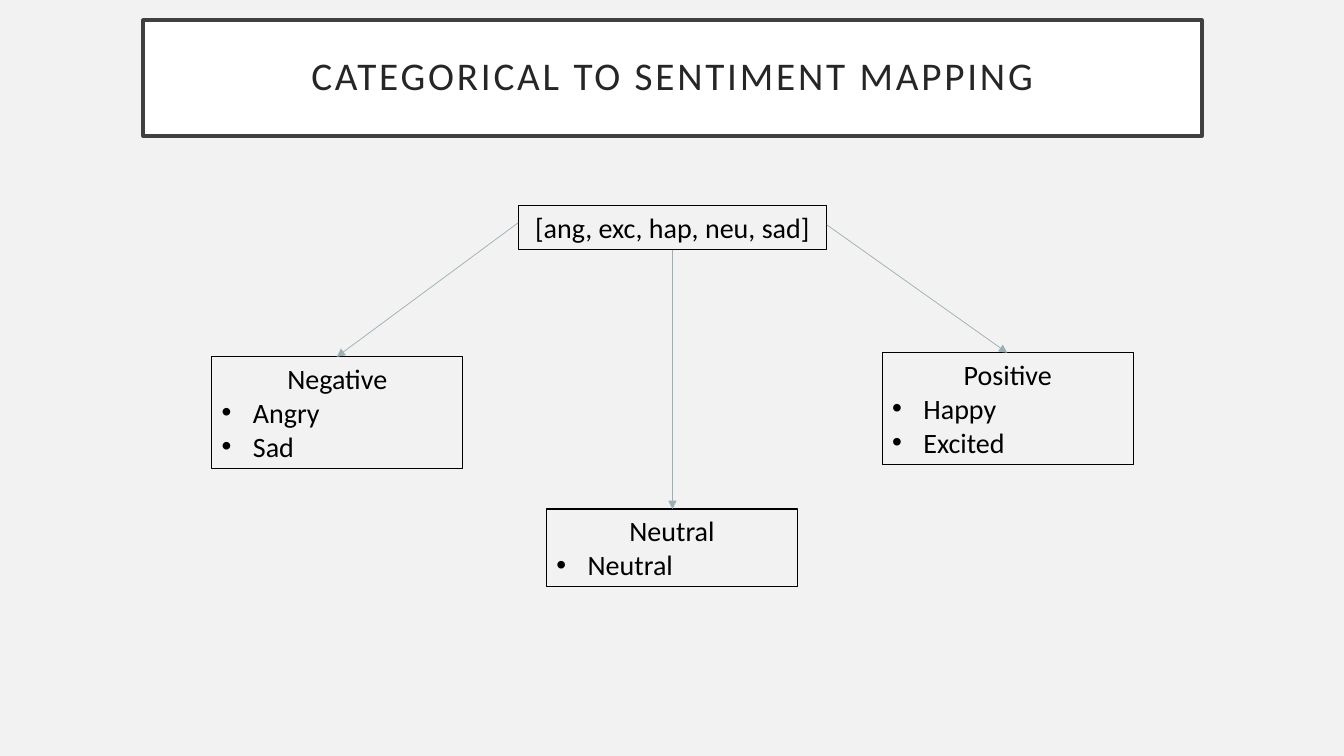
from pptx import Presentation
from pptx.dml.color import RGBColor
from pptx.enum.shapes import MSO_CONNECTOR
from pptx.enum.text import MSO_ANCHOR, MSO_AUTO_SIZE, PP_ALIGN
from pptx.oxml.xmlchemy import OxmlElement
from pptx.util import Inches, Pt

COLORS = {
    "background": "F2F2F2",
    "banner": "FFFFFF",
    "banner_line": "404040",
    "title": "262626",
    "text": "000000",
    "arrow": "9BAFB5",
}
FONT = "Calibri"
GROUP_WIDTH = 2.49
BULLET_INDENT = 0.31

# Sentiment, its categories, and the left, top and height of its box
SENTIMENTS = [
    ("Negative", ["Angry", "Sad"], 2.1, 3.54, 1.11),
    ("Positive", ["Happy", "Excited"], 8.75, 3.5, 1.11),
    ("Neutral", ["Neutral"], 5.42, 5.05, 0.77),
]
# Start and end of each arrow
ARROWS = [
    ((5.14, 2.21), (3.34, 3.54)),
    ((8.2, 2.23), (9.99, 3.5)),
    ((6.67, 2.48), (6.67, 5.05)),
]


def color(name):
    return RGBColor.from_string(COLORS[name])


def apply_format(target, values):
    for attribute, value in values.items():
        setattr(target, attribute, value)


def place(shape, left, top, width, height):
    apply_format(shape, {
        "left": Inches(left), "top": Inches(top),
        "width": Inches(width), "height": Inches(height),
    })


def outline(shape, color_name, points):
    shape.line.color.rgb = color(color_name)
    shape.line.width = Pt(points)


def add_text(paragraph, text, size, color_name):
    run = paragraph.add_run()
    run.text = text
    apply_format(run.font, {"name": FONT, "size": Pt(size)})
    run.font.color.rgb = color(color_name)
    return run


def add_bullet(paragraph):
    properties = paragraph._p.get_or_add_pPr()
    indent = Inches(BULLET_INDENT)
    properties.set("marL", str(indent))
    properties.set("indent", str(-indent))
    for tag, key, value in [("a:buFont", "typeface", "Arial"), ("a:buChar", "char", "•")]:
        element = OxmlElement(tag)
        element.set(key, value)
        properties.append(element)


def add_title(slide, text):
    title = slide.shapes.title
    place(title, 1.42, 0.2, 10.5, 1.15)
    title.fill.solid()
    title.fill.fore_color.rgb = color("banner")
    outline(title, "banner_line", 2.5)
    frame = title.text_frame
    margins = dict.fromkeys(
        ["margin_left", "margin_top", "margin_right", "margin_bottom"], Inches(0.2))
    apply_format(frame, {
        **margins, "word_wrap": True, "auto_size": MSO_AUTO_SIZE.NONE,
        "vertical_anchor": MSO_ANCHOR.MIDDLE,
    })
    heading = frame.paragraphs[0]
    apply_format(heading, {"alignment": PP_ALIGN.CENTER, "line_spacing": 0.9})
    run = add_text(heading, text, 28, "title")
    run.font._element.set("spc", "200")  # letter spacing of 2 pt


def add_box(slide, heading, categories, left, top, width, height):
    box = slide.shapes.add_textbox(
        Inches(left), Inches(top), Inches(width), Inches(height))
    outline(box, "text", 0.75)
    frame = box.text_frame
    apply_format(frame, {"word_wrap": True, "auto_size": MSO_AUTO_SIZE.SHAPE_TO_FIT_TEXT})
    frame.paragraphs[0].alignment = PP_ALIGN.CENTER
    add_text(frame.paragraphs[0], heading, 20, "text")
    for category in categories:
        item = frame.add_paragraph()
        add_bullet(item)
        add_text(item, category, 20, "text")


def add_arrow(slide, start, end):
    arrow = slide.shapes.add_connector(
        MSO_CONNECTOR.STRAIGHT, *map(Inches, start + end))
    outline(arrow, "arrow", 0.5)
    head = OxmlElement("a:tailEnd")
    head.set("type", "triangle")
    arrow.line._get_or_add_ln().append(head)
    arrow._element.spPr.append(OxmlElement("a:effectLst"))


def main():
    deck = Presentation()
    apply_format(deck, {"slide_width": Inches(13.33), "slide_height": Inches(7.5)})
    slide = deck.slides.add_slide(deck.slide_layouts[5])  # title only
    slide.background.fill.solid()
    slide.background.fill.fore_color.rgb = color("background")

    add_title(slide, "CATEGORICAL TO SENTIMENT MAPPING")

    # Source labels, then the sentiments they map to
    add_box(slide, "[ang, exc, hap, neu, sad]", [], 5.14, 2.04, 3.06, 0.44)
    for sentiment, categories, left, top, height in SENTIMENTS:
        add_box(slide, sentiment, categories, left, top, GROUP_WIDTH, height)

    # Mapping arrows
    for start, end in ARROWS:
        add_arrow(slide, start, end)

    deck.save("out.pptx")


if __name__ == "__main__":
    main()
